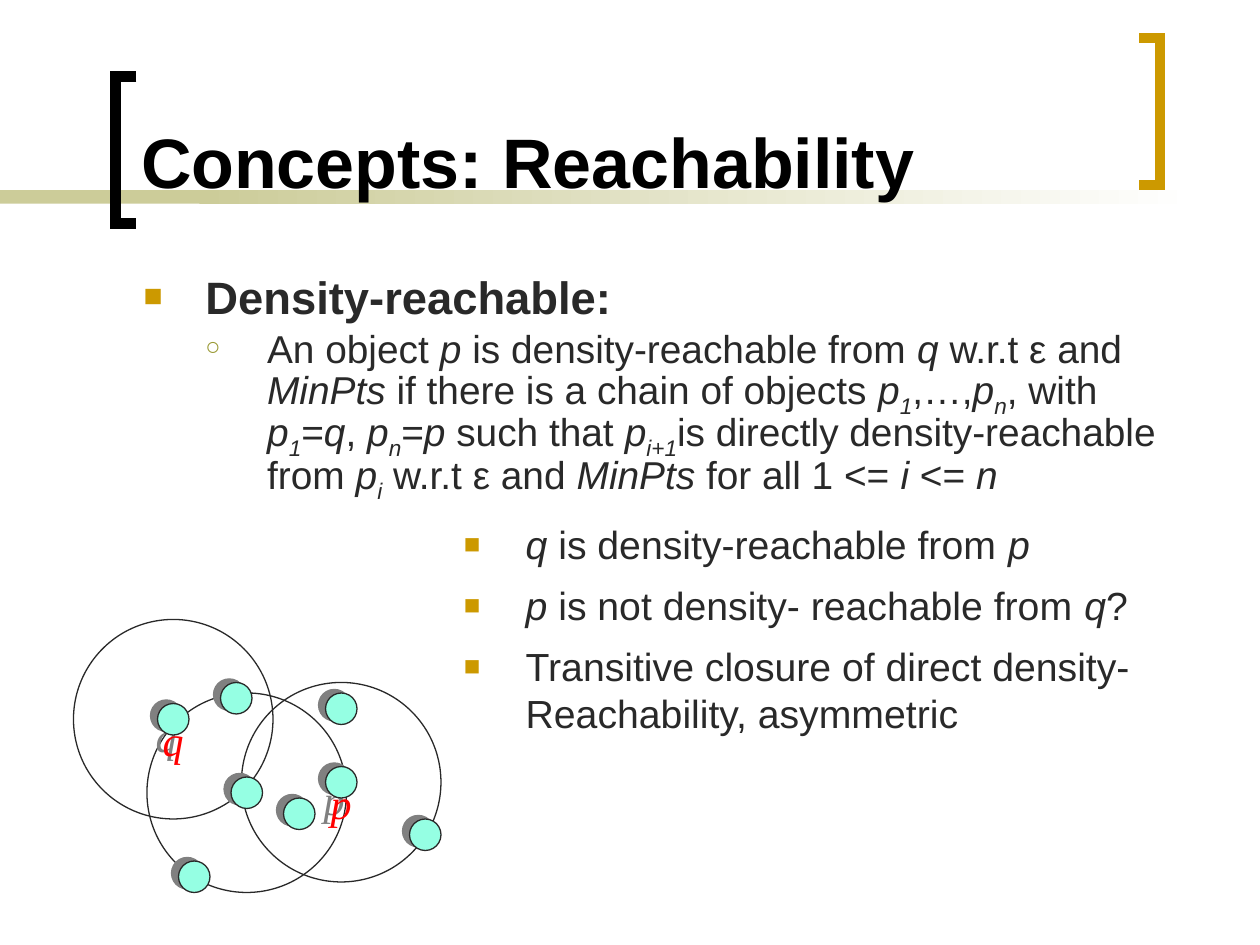
from dataclasses import dataclass

from lxml import etree
from pptx import Presentation
from pptx import util as u
from pptx.dml.color import RGBColor
from pptx.enum import shapes, text
from pptx.oxml.ns import qn


@dataclass(frozen=True)
class Theme:
    ink: str = "292929"
    black: str = "000000"
    gold: str = "CC9900"
    olive: str = "999933"
    sand: str = "CCCC99"
    white: str = "FFFFFF"
    mint: str = "95FFE3"
    red: str = "FF0000"
    shade: str = "808080"
    sans: str = "Arial"
    serif: str = "Times New Roman"
    title: float = 40
    head: float = 25.9
    body: float = 22.2
    item: float = 22.4
    label: float = 24


def rgb(code):
    return RGBColor.from_string(code)


def node(parent, tag, **attrs):
    return etree.SubElement(parent, qn(tag), {k: str(v) for k, v in attrs.items()})


class Board:
    COLS, ROWS = 120, 90

    def __init__(self, deck, theme):
        self.theme = theme
        self.slide = deck.slides.add_slide(deck.slide_layouts[6])
        self.unit_x = deck.slide_width / self.COLS
        self.unit_y = deck.slide_height / self.ROWS

    def place(self, x, y, w, h):
        sizes = (self.unit_x, self.unit_y) * 2
        return [u.Emu(round(n * size)) for n, size in zip((x, y, w, h), sizes)]

    def shape(self, kind, area, fill=None, line=None):
        item = self.slide.shapes.add_shape(kind, *self.place(*area))
        item.shadow.inherit = False
        if fill:
            item.fill.solid()
            item.fill.fore_color.rgb = rgb(fill)
        else:
            item.fill.background()
        if line:
            item.line.color.rgb = rgb(line)
            item.line.width = u.Pt(0.75)
        else:
            item.line.fill.background()
        return item

    def bar(self, area, fade=None):
        item = self.shape(shapes.MSO_SHAPE.RECTANGLE, area, self.theme.sand)
        if fade:
            item.fill.gradient()
            item.fill.gradient_angle = 0
            for stop, tint in zip(item.fill.gradient_stops, (self.theme.sand, fade)):
                stop.color.rgb = rgb(tint)

    def bracket(self, spine, tip, top, tall, color):
        points = [(tip, top), (spine, top), (spine, top + tall), (tip, top + tall)]
        spots = [self.place(x, y, 0, 0)[:2] for x, y in points]
        trace = self.slide.shapes.build_freeform(*spots[0])
        trace.add_line_segments(spots[1:], close=False)
        item = trace.convert_to_shape()
        item.shadow.inherit = False
        item.fill.background()
        item.line.color.rgb = rgb(color)
        item.line.width = u.Pt(6)
        edge = item._element.spPr.find(qn("a:ln"))
        node(edge, "a:miter", lim=800000)

    def ring(self, x, y):
        self.shape(shapes.MSO_SHAPE.OVAL, (x, y, 19, 19), line=self.theme.ink)

    def dot(self, x, y, name=None):
        t = self.theme
        item = self.shape(shapes.MSO_SHAPE.OVAL, (x, y, 3, 3), t.mint, t.ink)
        effects = item._element.spPr.find(qn("a:effectLst"))
        cast = node(effects, "a:outerShdw", dist=u.Pt(4.5), dir=207 * 60000,
                    algn="ctr", rotWithShape=0)
        node(cast, "a:srgbClr", val=t.shade)
        if name:
            frame = item.text_frame
            frame.word_wrap = False
            frame.vertical_anchor = text.MSO_ANCHOR.TOP
            para = frame.paragraphs[0]
            para.alignment = text.PP_ALIGN.CENTER
            self.words(para, f"*{name}*", t.label, t.red, t.serif)

    def box(self, area, anchor=text.MSO_ANCHOR.TOP):
        frame = self.slide.shapes.add_textbox(*self.place(*area)).text_frame
        frame.word_wrap = True
        frame.vertical_anchor = anchor
        return frame

    def words(self, para, line, size, color, face=None, bold=False):
        for turn, part in enumerate(line.split("*")):
            for depth, piece in enumerate(part.split("_")):
                if not piece:
                    continue
                run = para.add_run()
                run.text = piece
                font = run.font
                font.name = face or self.theme.sans
                font.size = u.Pt(size)
                font.bold = bold
                font.italic = turn % 2 == 1
                font.color.rgb = rgb(color)
                if depth:
                    run._r.get_or_add_rPr().set("baseline", "-25000")

    def point(self, frame, line, size, mark="■", tint=None, scale=70,
              level=0, space=0, pitch=None, bold=False):
        para = frame.paragraphs[0]
        if para.runs:
            para = frame.add_paragraph()
        para.level = level
        props = para._p.get_or_add_pPr()
        props.set("marL", str(u.Inches(0.49 * (level + 1))))
        props.set("indent", str(-u.Inches(0.49)))
        node(node(props, "a:buClr"), "a:srgbClr", val=tint or self.theme.gold)
        node(props, "a:buSzPct", val=scale * 1000)
        node(props, "a:buFont", typeface=self.theme.sans)
        node(props, "a:buChar", char=mark)
        para.space_before = u.Pt(space)
        if pitch:
            para.line_spacing = pitch
        self.words(para, line, size, self.theme.ink, bold=bold)


def main():
    deck = Presentation()
    deck.slide_width, deck.slide_height = u.Inches(10), u.Inches(7.5)
    t = Theme()
    board = Board(deck, t)

    board.bar((0, 18.1, 28, 1.3))
    board.bar((19, 18.1, 95, 1.3), fade=t.white)
    board.bracket(11, 13, 7.3, 14, t.black)
    board.bracket(110.5, 108.5, 3.6, 14, t.gold)

    title = board.box((12.25, 1.3, 94, 18.6), text.MSO_ANCHOR.BOTTOM)
    board.words(title.paragraphs[0], "Concepts: Reachability", t.title, t.black, bold=True)

    body = board.box((12.5, 26, 100.5, 27))
    board.point(body, "Density-reachable:", t.head, pitch=0.8, bold=True)
    board.point(
        body,
        "An object *p* is density-reachable from *q* w.r.t ε and *MinPts* if there is "
        "a chain of objects *p_1*,…,*p_n*, with *p_1*=*q*, *p_n*=*p* such that "
        "*p_i+1*is directly density-reachable from *p_i* w.r.t ε and *MinPts* "
        "for all 1 <= *i* <= *n*",
        t.body, "○", t.olive, 65, level=1, space=6, pitch=0.8)

    for spot in ((14, 66), (23, 65), (7, 59)):
        board.ring(*spot)
    for spot in ((31, 66), (27, 76), (39, 78), (31, 73, "p"),
                 (21, 65), (17, 82), (15, 67, "q"), (22, 74)):
        board.dot(*spot)

    notes = board.box((43, 49, 71, 25))
    for row, line in enumerate((
            "*q* is density-reachable from *p*",
            "*p* is not density- reachable from *q*?",
            "Transitive closure of direct density-Reachability, asymmetric")):
        board.point(notes, line, t.item, space=8 if row else 0)

    deck.save("out.pptx")


if __name__ == "__main__":
    main()
